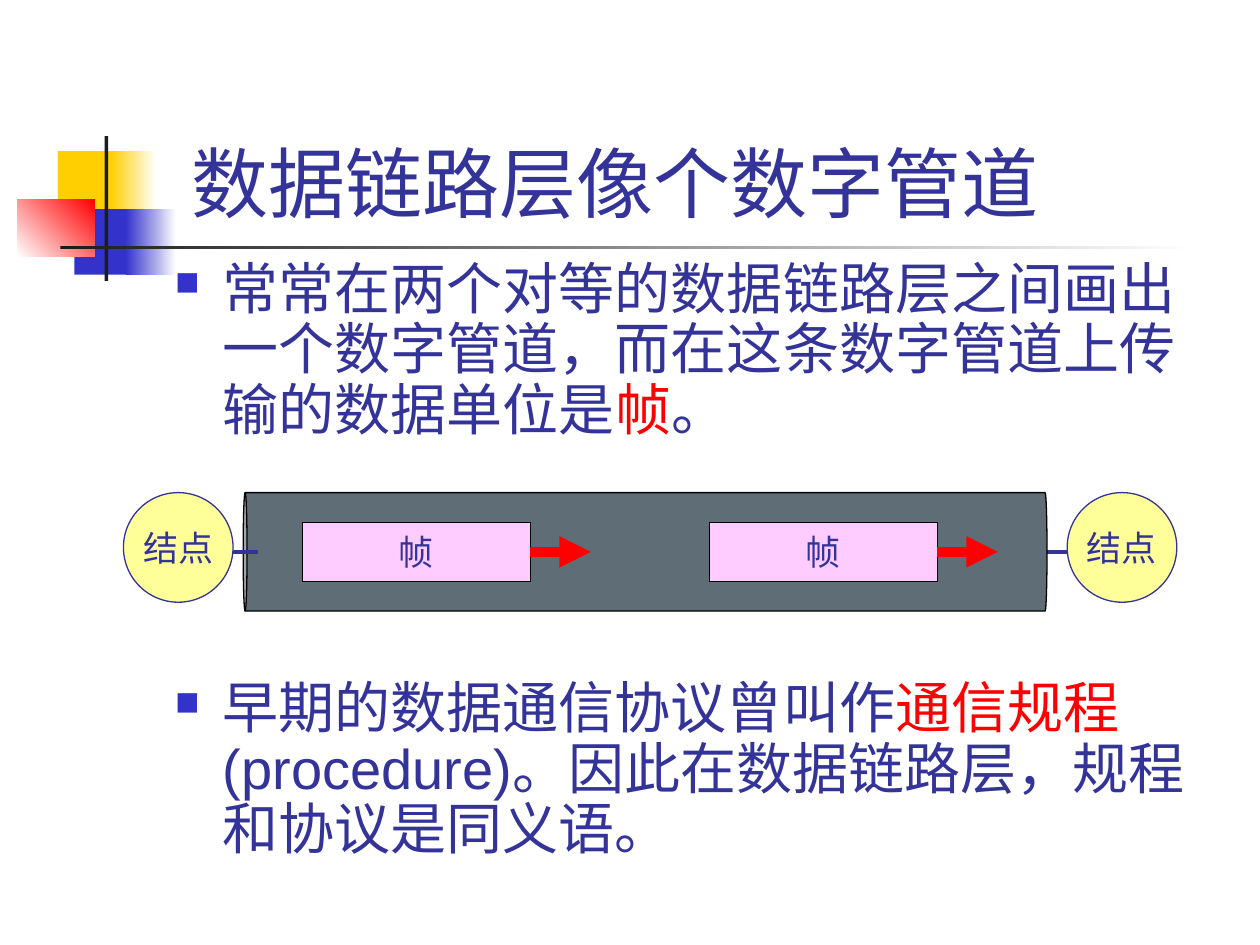
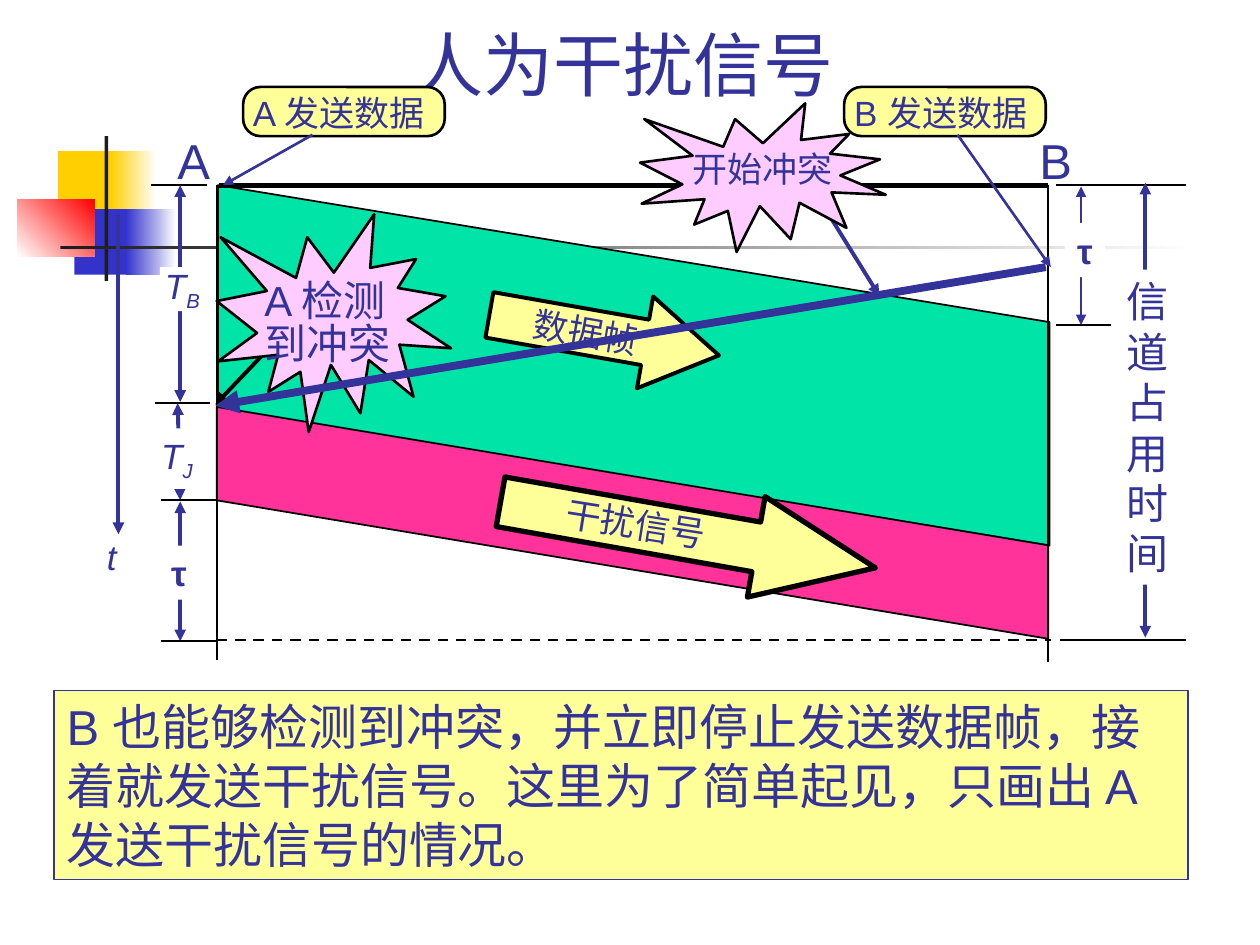
import pptx
import pptx.util
import pptx.dml.color
import pptx.enum.dml
import pptx.enum.shapes
import pptx.enum.text
import pptx.oxml
import pptx.oxml.ns
from lxml import etree

Inches, Pt = pptx.util.Inches, pptx.util.Pt
RGB = pptx.dml.color.RGBColor
GEO = pptx.enum.shapes.MSO_SHAPE
ALIGN = pptx.enum.text.PP_ALIGN
ANCHOR = pptx.enum.text.MSO_ANCHOR
qn = pptx.oxml.ns.qn

NAVY = RGB(0x33, 0x33, 0x99)
BLUE = RGB(0x33, 0x33, 0xCC)
GOLD = RGB(0xFF, 0xCF, 0x01)
RED = RGB(0xFF, 0x00, 0x00)
INK = RGB(0x1C, 0x1C, 0x1C)
BLACK = RGB(0x00, 0x00, 0x00)
WHITE = RGB(0xFF, 0xFF, 0xFF)
YELLOW = RGB(0xFF, 0xFF, 0x99)
PINK = RGB(0xFF, 0xCC, 0xFF)
MAGENTA = RGB(0xFF, 0x33, 0x99)
GREEN = RGB(0x00, 0xE4, 0xA8)
SLATE = RGB(0x5E, 0x6D, 0x76)

THIN = dict(line=BLACK, width=1)
HAIR = dict(line=BLACK, width=0.75)
MEDIUM = dict(line=BLACK, width=1.5)
ARROW = dict(line=NAVY, width=2.25, tail=True)
SPAN = dict(ARROW, head=True)
POINTER = dict(line=NAVY, width=1.5, tail=True)
MIDDLE = dict(anchor=ANCHOR.MIDDLE, align=ALIGN.CENTER)
TITLE = dict(align=ALIGN.CENTER, anchor=ANCHOR.BOTTOM, wrap=True)
LABEL = dict(grow=True)
MASKED = dict(grow=True, fill=WHITE)
TAU = dict(MASKED, text="τ", bold=True)

MOTIF = [
    ("rect", (0.46, 1.2, 0.48, 0.52), dict(fill=GOLD)),
    ("rect", (0.88, 1.2, 0.36, 0.52), dict(fade=(GOLD, WHITE, 0))),
    ("rect", (0.59, 1.66, 0.46, 0.52), dict(fill=BLUE)),
    ("rect", (1, 1.66, 0.4, 0.52), dict(fade=(BLUE, WHITE, 0))),
    ("rect", (0.14, 1.58, 0.61, 0.46), dict(fade=(WHITE, RED, 45))),
    ("rect", (0.83, 1.08, 0.03, 1.15), dict(fill=INK)),
    ("rect", (0.48, 1.95, 9, 0.03), dict(fade=(INK, WHITE, 0))),
]

PIPE_TEXT = [
    [("常常在两个对等的数据链路层之间画出一个数字管道，而在这条数字管道上传输的数据单位是", {}),
     ("帧", dict(color=RED)), ("。", {})],
    [("早期的数据通信协议曾叫作", {}), ("通信规程", dict(color=RED)),
     ("(procedure)。因此在数据链路层，规程和协议是同义语。", {})],
]
PIPE_Y = 4.38
NODE_X = (0.98, 8.47)
FRAME_X = (2.4, 5.63)
NODE, FRAME_W, FRAME_H = 0.87, 1.81, 0.47


def node(x):
    return ("ellipse", (x, 3.91, NODE, NODE),
            dict(MIDDLE, fill=YELLOW, line=NAVY, text="结点", font="Roboto"))


def frame(x):
    return ("rect", (x, PIPE_Y - FRAME_H / 2, FRAME_W, FRAME_H),
            dict(MIDDLE, **HAIR, fill=PINK, text="帧", font="Roboto"))


def frame_arrow(x):
    start = x + FRAME_W
    return ("line", (start, PIPE_Y, start + 0.48, PIPE_Y),
            dict(line=RED, width=6, tail=True))


LINK_X = NODE_X[0] + NODE
PIPE = [
    ("text", (1.2, 1.02, 7.5, 0.84), dict(TITLE, text="数据链路层像个数字管道 ", size=44)),
    ("text", (1.29, 2.02, 8.5, 5.29),
     dict(text=PIPE_TEXT, size=32, wrap=True, bullet=BLUE, spacing=0.9, before=(8, 136))),
    *map(node, NODE_X),
    ("line", (LINK_X, PIPE_Y, NODE_X[1], PIPE_Y), dict(line=NAVY, width=2.25)),
    ("can", (4.65, 1.19, 0.94, 6.38), dict(HAIR, rot=270, adj=[0.033], fill=SLATE)),
    *map(frame, FRAME_X),
    ("line", (LINK_X, PIPE_Y, LINK_X + 0.2, PIPE_Y), dict(line=NAVY, width=2.25)),
    *map(frame_arrow, FRAME_X),
]

A_X, B_X, TOP, BOTTOM = 1.72, 8.32, 1.47, 5.08


def tick(x, y, w=0.44):
    return ("line", (x, y, x + w, y), THIN)


def symbol(letter, sub):
    return [[(letter, dict(italic=True)), (sub, dict(italic=True, baseline=-25))]]


def sender(name, x, pointer):
    return [
        ("roundRect", (x, 0.69, 1.6, 0.39), dict(MEDIUM, adj=[0.354], fill=YELLOW)),
        ("text", (x - 0.02, 0.68, 1.64, 0.44), dict(LABEL, text=name + " 发送数据")),
        ("line", pointer, POINTER),
    ]


JAMMING = [
    ("parallelogram", (3.6, -0.4, 2.86, 6.6), dict(THIN, rot=90, adj=[0.38], fill=GREEN)),
    ("rightArrow", (3.87, 2.29, 1.85, 0.74),
     dict(MIDDLE, line=BLACK, width=2.25, rot=10, adj=[0.494, 0.804], fill=YELLOW, text="数据帧")),
    ("parallelogram", (4.1, 0.85, 1.84, 6.6), dict(THIN, rot=90, adj=[0.597], fill=MAGENTA)),
    ("rightArrow", (3.95, 3.84, 3.02, 0.81),
     dict(line=BLACK, width=3, rot=10, adj=[0.494, 1.185], fill=YELLOW)),
    ("text", (4.39, 3.94, 1.31, 0.44), dict(LABEL, text="干扰信号", rot=9)),
    ("line", (1.43, 3.98, 1.43, 5.09), SPAN),
    ("line", (1.41, 3.2, 1.43, 3.97), SPAN),
    ("rect", (1.26, 4.33, 0.32, 0.43), TAU),
    tick(1.28, 3.97),
    tick(1.28, 5.09),
    ("rect", (1.18, 3.4, 0.45, 0.48), dict(MASKED, text=symbol("T", "J"))),
    ("text", (0.75, 0.13, 8.52, 0.76), dict(TITLE, text="人为干扰信号 ", size=40)),
    ("line", (1.74, TOP, B_X, TOP), dict(line=BLACK, width=3)),
    ("line", (A_X, TOP, A_X, 5.24), THIN),
    tick(8.38, TOP, 1.03),
    tick(8.38, 2.58),
    ("line", (8.58, 1.48, 8.58, 2.58), dict(POINTER, head=True)),
    ("text", (1.31, 0.99, 0.46, 0.56), dict(LABEL, text="A", size=28)),
    ("text", (8.15, 0.99, 0.46, 0.56), dict(LABEL, text="B", size=28)),
    ("line", (0.94, 1.7, 0.94, 4.24), ARROW),
    ("line", (B_X, TOP, B_X, 5.25), THIN),
    tick(1.23, 3.2),
    tick(1.2, TOP),
    ("line", (1.43, TOP, 1.43, 3.19), SPAN),
    ("rect", (1.27, 2.12, 0.37, 0.35), dict(fill=WHITE)),
    ("text", (1.21, 2.05, 0.48, 0.48), dict(LABEL, text=symbol("T", "B"))),
    ("text", (0.75, 4.2, 0.27, 0.44), dict(LABEL, text="t", italic=True)),
    ("line", (A_X, BOTTOM, 8.34, BOTTOM), dict(MEDIUM, dash=True)),
    ("rect", (8.45, 1.77, 0.32, 0.43), TAU),
    *sender("B", 6.7, (7.6, 1.07, 8.34, 2.12)),
    ("line", (2.31, 2.58, 1.71, 3.21), dict(line=BLACK, width=2.25, tail=True)),
    ("irregularSeal1", (1.72, 1.7, 1.86, 1.73), dict(MEDIUM, fill=PINK)),
    ("text", (2, 2.19, 1.26, 0.78),
     dict(LABEL, text=["A 检测", "到冲突"], size=24, spacing=0.85)),
    ("line", (6.57, 1.69, 6.98, 2.35), ARROW),
    ("irregularSeal1", (5.08, 0.82, 1.95, 1.18), dict(MEDIUM, fill=PINK)),
    ("text", (5.4, 1.12, 1.31, 0.44), dict(LABEL, text="开始冲突")),
    tick(8.41, BOTTOM, 1),
    ("line", (9.09, 1.45, 9.09, 5.06), SPAN),
    ("rect", (8.84, 2.14, 0.53, 2.5), dict(MASKED, text=list("信道占用时间"), size=24)),
    *sender("A", 1.93, (2.48, 1.07, 1.77, TOP)),
    ("line", (8.3, 2.12, 1.71, 3.22), dict(line=NAVY, width=4.5, tail=True)),
    ("rect", (0.43, 5.48, 9, 1.5),
     dict(LABEL, fill=YELLOW, line=NAVY, size=28, wrap=True,
          text="B 也能够检测到冲突，并立即停止发送数据帧，接着就发送干扰信号。"
               "这里为了简单起见，只画出 A 发送干扰信号的情况。")),
]

GEOMETRY = {
    "rect": GEO.RECTANGLE,
    "ellipse": GEO.OVAL,
    "can": GEO.CAN,
    "roundRect": GEO.ROUNDED_RECTANGLE,
    "parallelogram": GEO.PARALLELOGRAM,
    "rightArrow": GEO.RIGHT_ARROW,
    "irregularSeal1": GEO.EXPLOSION1,
}


def add_bullet(p, color):
    pPr = p._p.get_or_add_pPr()
    pPr.set("marL", str(Inches(0.38)))
    pPr.set("indent", str(-Inches(0.38)))
    clr = etree.SubElement(pPr, qn("a:buClr"))
    etree.SubElement(clr, qn("a:srgbClr"), val=str(color))
    etree.SubElement(pPr, qn("a:buSzPct"), val="60000")
    etree.SubElement(pPr, qn("a:buChar"), char="■")


def write(sp, text, size=20, font="Arial", color=NAVY, bold=False, italic=False,
          align=ALIGN.LEFT, anchor=ANCHOR.TOP, wrap=False, grow=False,
          spacing=None, before=None, bullet=None):
    tf = sp.text_frame
    tf.word_wrap = wrap
    tf.vertical_anchor = anchor
    if grow:
        tf.auto_size = pptx.enum.text.MSO_AUTO_SIZE.SHAPE_TO_FIT_TEXT
    for i, runs in enumerate([text] if isinstance(text, str) else text):
        p = tf.add_paragraph() if i else tf.paragraphs[0]
        p.alignment = align
        if spacing:
            p.line_spacing = spacing
        if before:
            p.space_before = Pt(before[i])
        if bullet:
            add_bullet(p, bullet)
        for words, own in [(runs, {})] if isinstance(runs, str) else runs:
            r = p.add_run()
            r.text = words
            r.font.size, r.font.name = Pt(size), font
            r.font.bold, r.font.italic = bold, own.get("italic", italic)
            r.font.color.rgb = own.get("color", color)
            if "baseline" in own:
                r._r.get_or_add_rPr().set("baseline", str(own["baseline"] * 1000))


def add_line(s, ends, line, width, head=False, tail=False, dash=False):
    sp = s.shapes.add_connector(pptx.enum.shapes.MSO_CONNECTOR.STRAIGHT, *map(Inches, ends))
    sp.line.color.rgb, sp.line.width = line, Pt(width)
    if dash:
        sp.line.dash_style = pptx.enum.dml.MSO_LINE.DASH
    ln = sp.line._get_or_add_ln()
    for tag, wanted in (("a:headEnd", head), ("a:tailEnd", tail)):
        if wanted:
            etree.SubElement(ln, qn(tag), type="triangle")
    etree.SubElement(sp._element.spPr, qn("a:effectLst"))


def add_box(s, kind, at, fill=None, fade=None, line=None, width=0.75,
            rot=0, adj=(), text=None, **style):
    at = [Inches(v) for v in at]
    if kind == "text":
        sp = s.shapes.add_textbox(*at)
    else:
        sp = s.shapes.add_shape(GEOMETRY[kind], *at)
        sp.shadow.inherit = False
        for i, value in enumerate(adj):
            sp.adjustments[i] = value
        if fade:
            sp.fill.gradient()
            sp.fill.gradient_angle = fade[2]
            for stop, color in zip(sp.fill.gradient_stops, fade):
                stop.color.rgb = color
        else:
            sp.fill.solid()
            sp.fill.fore_color.rgb = fill
        if line is None:
            sp.line.fill.background()
        else:
            sp.line.color.rgb, sp.line.width = line, Pt(width)
    sp.rotation = rot
    if text:
        write(sp, text, **style)


def main():
    prs = pptx.Presentation()
    prs.slide_width, prs.slide_height = Inches(10), Inches(7.5)
    for parts in (PIPE, JAMMING):
        s = prs.slides.add_slide(prs.slide_layouts[6])
        for kind, at, style in MOTIF + parts:
            if kind == "line":
                add_line(s, at, **style)
            else:
                add_box(s, kind, at, **style)
    prs.save("out.pptx")


if __name__ == "__main__":
    main()
